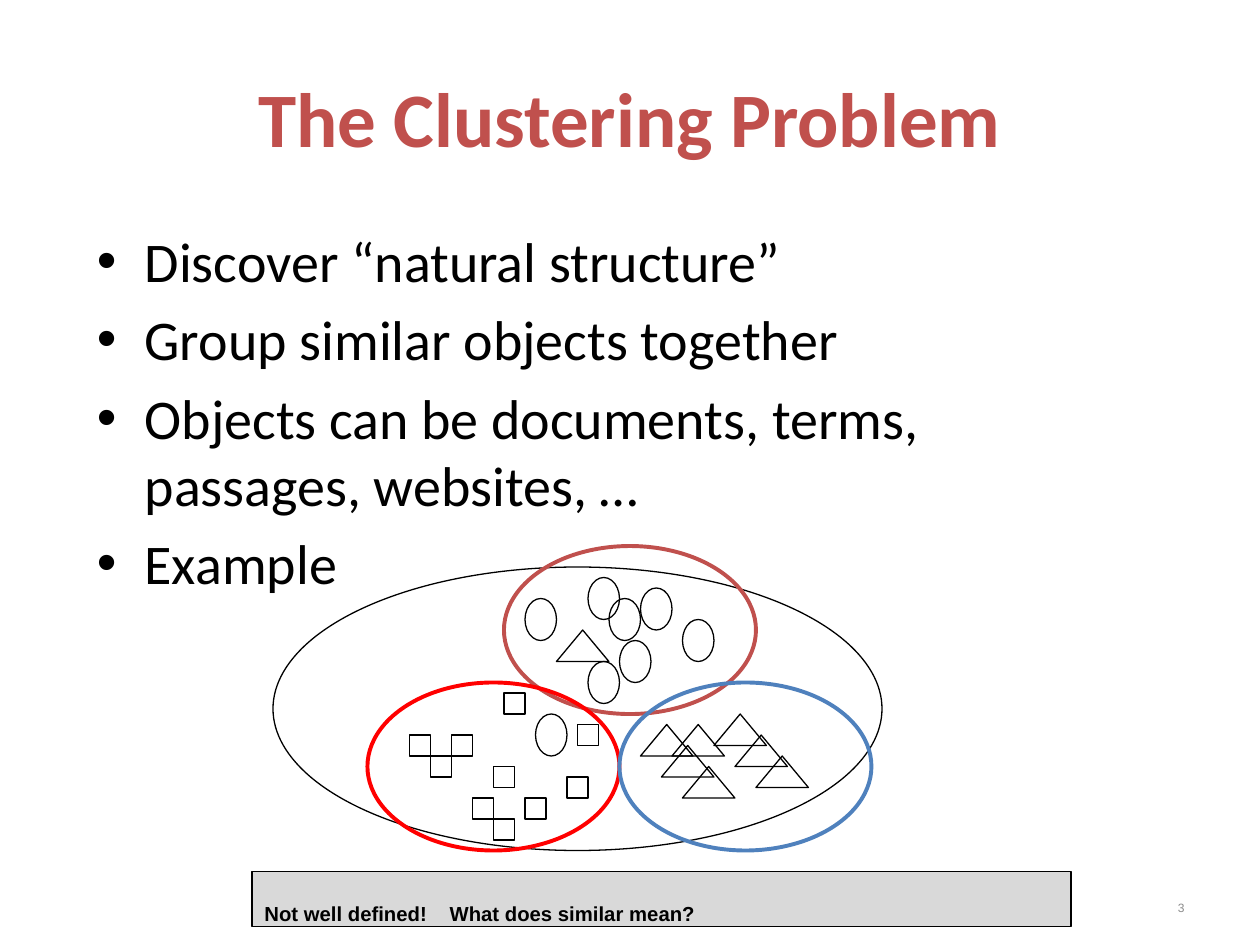
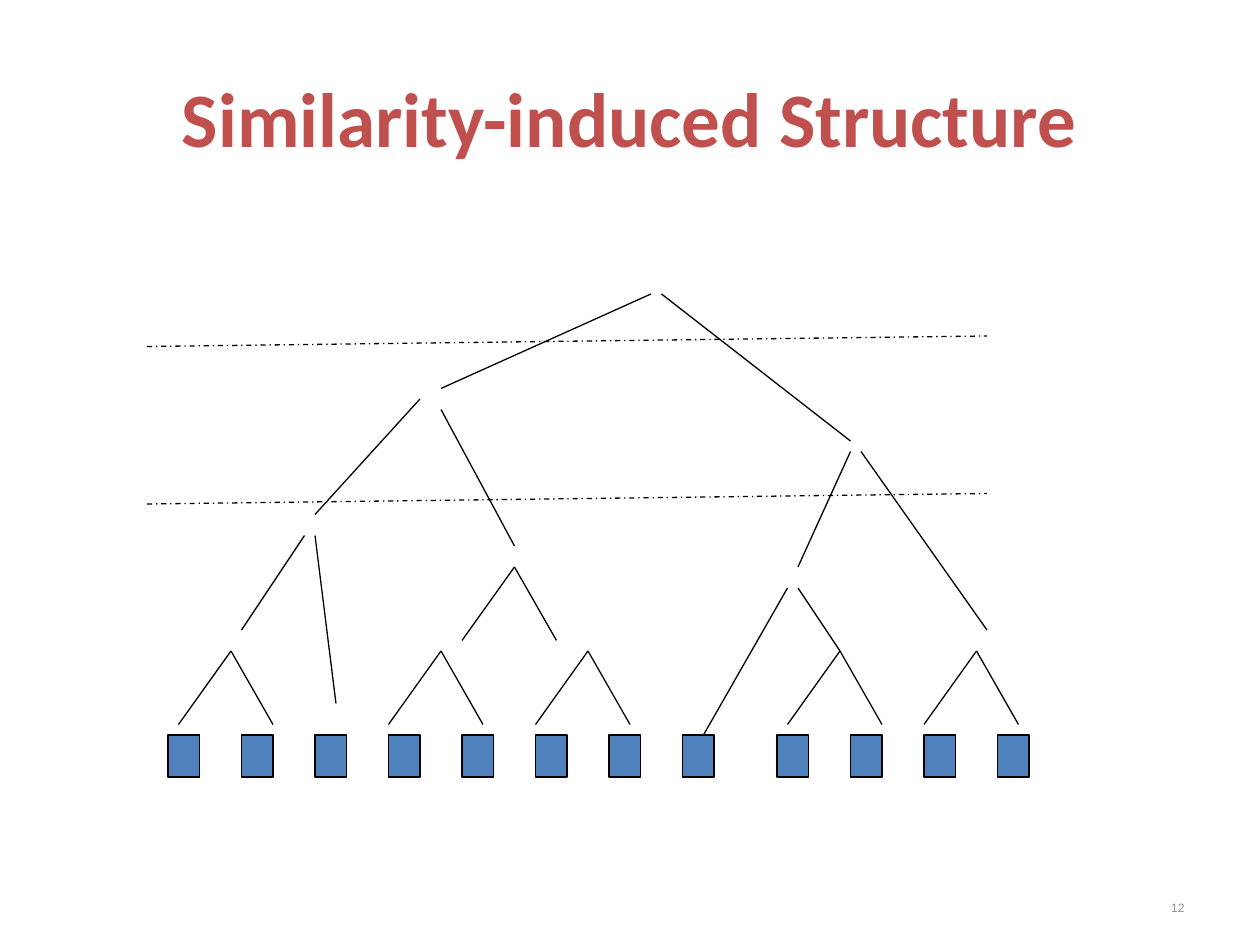
from lxml import etree
from pptx import Presentation
from pptx.dml.color import RGBColor
from pptx.enum.dml import MSO_LINE_DASH_STYLE as Dash
from pptx.enum.shapes import MSO_CONNECTOR as Connector, MSO_SHAPE as Preset
from pptx.enum.text import MSO_ANCHOR as Anchor, PP_ALIGN as Align
from pptx.oxml.ns import qn
from pptx.util import Inches, Pt

# Shared look
RED, BRIGHT_RED, BLUE = "C0504D", "FF0000", "4F81BD"
BLACK, GREY, PALE = "000000", "8C8C8C", "D9D9D9"
HEADING_FONT, NOTE_FONT = "Calibri", "Arial"
WIDTH, HEIGHT = Inches(10), Inches(7.5)
CELL = WIDTH // 120  # drawings sit on a grid of 120 columns and 90 rows

# Scattered objects: (column, row) of each top left corner
SQUARES = [(39, 70), (41, 72), (43, 70), (45, 76), (47, 78),
           (50, 76), (48, 66), (47, 73), (54, 74), (55, 69)]
CIRCLES = [(50, 57), (51, 68), (59, 61), (56, 63),
           (56, 55), (58, 57), (61, 56), (65, 59)]
TRIANGLES = [(61, 69), (63, 71), (65, 73), (64, 69),
             (53, 60), (68, 68), (70, 70), (72, 72)]
CLUSTERS = [(48, 52, RED), (35, 65, BRIGHT_RED), (59, 65, BLUE)]

# Tree: left foot of each pair merge, then single branches
MERGES = [(17, 69), (37, 69), (51, 69), (75, 69), (88, 69), (44, 61)]
BRANCHES = [(23, 60, 29, 51), (30, 51, 32, 67), (67, 70, 75, 56),
            (76, 56, 80, 62), (30, 49, 40, 38), (42, 39, 49, 52),
            (76, 54, 81, 43), (82, 43, 94, 60), (42, 37, 62, 28),
            (63, 28, 81, 42)]
CUT_ROWS = [33, 48]


def color(hex_code):
    return RGBColor.from_string(hex_code)


def grid(*cells):
    return [round(cell * CELL) for cell in cells]


def add_span(para, text, size, font, hex_code, bold=False, subscript=False):
    span = para.add_run()
    span.text = text
    span.font.size = Pt(size)
    span.font.name = font
    span.font.bold = bold
    span.font.color.rgb = color(hex_code)
    if subscript:
        span.font._element.set("baseline", "-25000")


def add_box(page, left, top, width, height, anchor=Anchor.TOP):
    """Text box placed by shares of the slide's size."""
    box = page.shapes.add_textbox(round(left * WIDTH), round(top * HEIGHT),
                                  round(width * WIDTH), round(height * HEIGHT))
    box.text_frame.word_wrap = True
    box.text_frame.vertical_anchor = anchor
    return box.text_frame


def add_figure(page, preset, cells, fill=None, line=BLACK, weight=0.75):
    figure = page.shapes.add_shape(preset, *grid(*cells))
    figure.shadow.inherit = False
    if fill:
        figure.fill.solid()
        figure.fill.fore_color.rgb = color(fill)
    else:
        figure.fill.background()
    figure.line.color.rgb = color(line)
    figure.line.width = Pt(weight)
    return figure


def add_line(page, *ends, dash=None):
    line = page.shapes.add_connector(Connector.STRAIGHT, *grid(*ends))
    line.line.color.rgb = color(BLACK)
    line.line.width = Pt(0.75)
    if dash:
        line.line.dash_style = dash
    etree.SubElement(line._element.spPr, qn("a:effectLst"))


def add_bullets(page, lines):
    frame = add_box(page, 0.067, 0.233, 0.84, 0.6)
    for index, text in enumerate(lines):
        para = frame.paragraphs[0] if index == 0 else frame.add_paragraph()
        props = para._p.get_or_add_pPr()
        props.set("marL", str(Inches(0.38)))
        props.set("indent", str(-Inches(0.38)))
        etree.SubElement(props, qn("a:buFont"), typeface=NOTE_FONT)
        etree.SubElement(props, qn("a:buChar"), char="•")
        if index:
            para.space_before = Pt(6.4)
        add_span(para, text, 32, HEADING_FONT, BLACK)


def add_note(page, question, answer):
    note = add_figure(page, Preset.RECTANGLE, (24, 83, 78, 5.25), fill=PALE)
    frame = note.text_frame
    frame.word_wrap = True
    frame.vertical_anchor = Anchor.TOP
    para = frame.paragraphs[0]
    para.alignment = Align.LEFT
    tabs = etree.SubElement(para._p.get_or_add_pPr(), qn("a:tabLst"))
    etree.SubElement(tabs, qn("a:tab"), pos=str(Inches(1.47)), algn="l")
    add_span(para, f"{question}\t{answer}", 20, NOTE_FONT, BLACK,
             bold=True, subscript=True)


def add_page(deck, title, number):
    """Blank page with the shared title and page number."""
    page = deck.slides.add_slide(deck.slide_layouts[6])
    heading = add_box(page, 0.05, 0.04, 0.9, 0.167, Anchor.MIDDLE).paragraphs[0]
    heading.alignment = Align.CENTER
    add_span(heading, title, 44, HEADING_FONT, RED, bold=True)
    footer = add_box(page, 0.717, 0.927, 0.233, 0.053, Anchor.MIDDLE).paragraphs[0]
    footer.alignment = Align.RIGHT
    add_span(footer, str(number), 12, NOTE_FONT, GREY, subscript=True)
    return page


def add_clusters(page):
    add_figure(page, Preset.OVAL, (26, 54, 58, 27))
    for preset, spots, size in ((Preset.RECTANGLE, SQUARES, (2, 2)),
                                (Preset.OVAL, CIRCLES, (3, 4)),
                                (Preset.ISOSCELES_TRIANGLE, TRIANGLES, (5, 3))):
        for spot in spots:
            add_figure(page, preset, spot + size)
    for column, row, line in CLUSTERS:
        add_figure(page, Preset.OVAL, (column, row, 24, 16), line=line, weight=2.25)


def add_tree(page):
    # Leaves, with a wider gap after the eighth
    for leaf in range(12):
        column = 16 + 7 * leaf + (2 if leaf >= 8 else 0)
        add_figure(page, Preset.RECTANGLE, (column, 70, 3, 4), fill=BLUE)
    for column, row in MERGES:
        add_line(page, column, row, column + 5, row - 7)
        add_line(page, column + 5, row - 7, column + 9, row)
    for branch in BRANCHES:
        add_line(page, *branch)
    # Levels where the tree is cut
    for row in CUT_ROWS:
        add_line(page, 14, row, 94, row - 1, dash=Dash.DASH_DOT)


def main():
    deck = Presentation()
    deck.slide_width, deck.slide_height = WIDTH, HEIGHT

    page = add_page(deck, "The Clustering Problem", 3)
    add_bullets(page, ["Discover “natural structure”",
                       "Group similar objects together",
                       "Objects can be documents, terms, passages, websites, …",
                       "Example"])
    add_clusters(page)
    add_note(page, "Not well defined!", "What does similar mean?")

    page = add_page(deck, "Similarity-induced Structure", 12)
    add_tree(page)

    deck.save("out.pptx")


if __name__ == "__main__":
    main()
